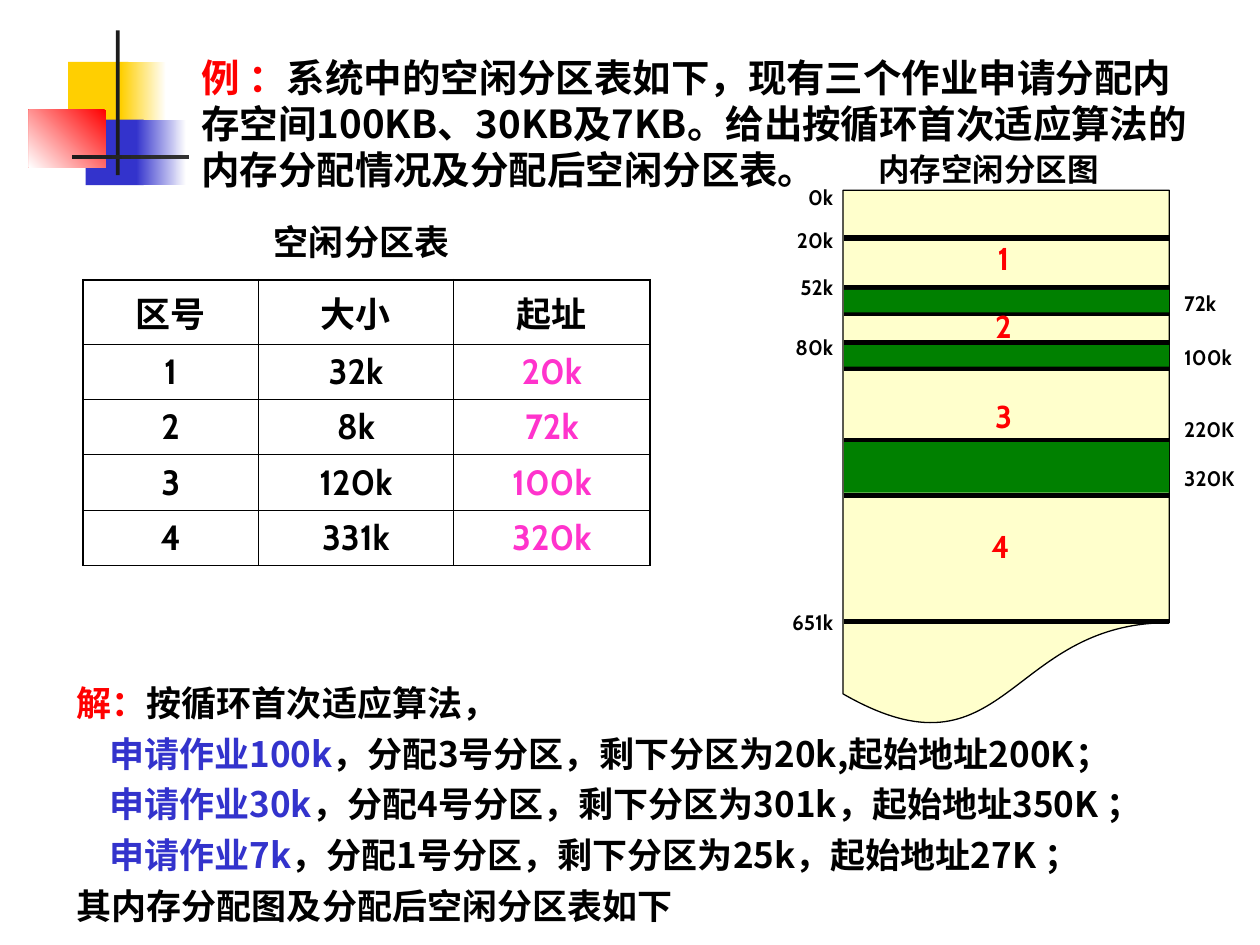
"""Builds the slide on next-fit memory allocation with its free-partition table and memory map."""
from lxml import etree
from pptx import Presentation
from pptx.dml.color import RGBColor
from pptx.enum.shapes import MSO_CONNECTOR as CONNECTOR, MSO_SHAPE as SHAPE
from pptx.enum.text import MSO_ANCHOR as ANCHOR, PP_ALIGN as ALIGN
from pptx.oxml.ns import qn
from pptx.util import Inches, Pt

BLACK = RGBColor(0x00, 0x00, 0x00)
WHITE = RGBColor(0xFF, 0xFF, 0xFF)
RED = RGBColor(0xFF, 0x00, 0x00)
BLUE = RGBColor(0x33, 0x33, 0xCC)
GOLD = RGBColor(0xFF, 0xCF, 0x01)
CHARCOAL = RGBColor(0x1C, 0x1C, 0x1C)
PINK = RGBColor(0xFF, 0x33, 0xCC)
CREAM = RGBColor(0xFF, 0xFF, 0xCC)
GREEN = RGBColor(0x00, 0x80, 0x00)
CJK = "Noto Sans CJK SC"


def add_run(paragraph, text, size, color, font="Cabin"):
    run = paragraph.add_run()
    run.text = text
    run.font.size = Pt(size)
    run.font.bold = True
    run.font.name = font
    run.font.color.rgb = color
    east_asian = etree.SubElement(run._r.get_or_add_rPr(), qn("a:ea"))
    east_asian.set("typeface", CJK)


def add_block(shapes, preset, box, color):
    block = shapes.add_shape(preset, *[Inches(v) for v in box])
    block.shadow.inherit = False
    block.fill.solid()
    block.fill.fore_color.rgb = color
    block.line.fill.background()
    return block


prs = Presentation()
prs.slide_width, prs.slide_height = Inches(10), Inches(7.5)
slide = prs.slides.add_slide(prs.slide_layouts[6])

for box, start, end, angle in [
    ((0.54, 0.49, 0.48, 0.52), GOLD, None, 0),
    ((0.96, 0.49, 0.36, 0.52), WHITE, GOLD, 180),
    ((0.68, 0.95, 0.46, 0.52), BLUE, None, 0),
    ((1.08, 0.95, 0.4, 0.52), WHITE, BLUE, 180),
    ((0.23, 0.87, 0.61, 0.46), RED, WHITE, 225),
    ((0.92, 0.24, 0.03, 1.15), CHARCOAL, None, 0),
    ((0.57, 1.23, 9, 0.03), WHITE, CHARCOAL, 180),
]:
    ornament = add_block(slide.shapes, SHAPE.RECTANGLE, box, start)
    if end is not None:
        ornament.fill.gradient()
        ornament.fill.gradient_angle = angle
        for stop, color in zip(ornament.fill.gradient_stops, (start, end)):
            stop.color.rgb = color

rows = [
    ("区号", "大小", "起址"),
    ("1", "32k", "20k"),
    ("2", "8k", "72k"),
    ("3", "120k", "100k"),
    ("4", "331k", "320k"),
]
partitions = slide.shapes.add_table(
    5, 3, Inches(0.66), Inches(2.22), Inches(4.5), Inches(2.27)).table
partitions.first_row = partitions.horz_banding = False
for column, width in zip(partitions.columns, (1.39, 1.55, 1.56)):
    column.width = Inches(width)
for r, row in enumerate(rows):
    partitions.rows[r].height = Inches(0.51 if r == 0 else 0.44)
    for c, value in enumerate(row):
        cell = partitions.cell(r, c)
        cell.margin_top = cell.margin_bottom = Inches(0.02)
        cell.vertical_anchor = ANCHOR.MIDDLE
        paragraph = cell.text_frame.paragraphs[0]
        paragraph.alignment = ALIGN.CENTER
        add_run(paragraph, value, 20, PINK if r and c == 2 else BLACK)
        cell_props = cell._tc.get_or_add_tcPr()
        for side, outer in (("L", c == 0), ("R", c == 2), ("T", r == 0), ("B", r == 4)):
            border = etree.SubElement(cell_props, qn("a:ln" + side))
            border.set("w", str(Pt(1.08 if outer else 0.45)))
            fill = etree.SubElement(border, qn("a:solidFill"))
            etree.SubElement(fill, qn("a:srgbClr")).set("val", str(BLACK))
        cell.fill.background()

table_title = slide.shapes.add_textbox(
    Inches(1.33), Inches(1.7), Inches(3.08), Inches(0.44)).text_frame
table_title.word_wrap = True
table_title.vertical_anchor = ANCHOR.MIDDLE
table_title.paragraphs[0].alignment = ALIGN.CENTER
add_run(table_title.paragraphs[0], "空闲分区表", 20, BLACK)

solution = slide.shapes.add_textbox(
    Inches(0.51), Inches(5.29), Inches(9.49), Inches(2.1)).text_frame
solution.word_wrap = True
for i, (lead, lead_color, rest, indent) in enumerate([
    ("解：", RED, "按循环首次适应算法，", 0),
    ("申请作业100k", BLUE, "，分配3号分区，剩下分区为20k,起始地址200K；", 0.26),
    ("申请作业30k", BLUE, "，分配4号分区，剩下分区为301k，起始地址350K ；", 0.26),
    ("申请作业7k", BLUE, "，分配1号分区，剩下分区为25k，起始地址27K ；", 0.26),
    ("其内存分配图及分配后空闲分区表如下", BLACK, "", 0),
]):
    paragraph = solution.add_paragraph() if i else solution.paragraphs[0]
    paragraph.line_spacing = Pt(29)
    paragraph._p.get_or_add_pPr().set("marL", str(Inches(indent)))
    add_run(paragraph, lead, 20, lead_color, CJK)
    if rest:
        add_run(paragraph, rest, 20, BLACK, CJK)

question = add_block(slide.shapes, SHAPE.RECTANGLE, (1.5, 0.38, 8.08, 1.17), WHITE).text_frame
question.word_wrap = True
question.vertical_anchor = ANCHOR.TOP
paragraph = question.paragraphs[0]
paragraph.alignment = ALIGN.LEFT
paragraph.line_spacing = Pt(26.3)
add_run(paragraph, "例 ：", 22, RED, CJK)
add_run(paragraph, "系统中的空闲分区表如下，现有三个作业申请分配内存空间100KB、30KB及7KB。"
        "给出按循环首次适应算法的内存分配情况及分配后空闲分区表。", 22, BLACK, CJK)

memory_map = slide.shapes.add_group_shape().shapes
memory = add_block(memory_map, SHAPE.FLOWCHART_DOCUMENT, (6.69, 1.51, 2.59, 4.28), CREAM)
memory.line.color.rgb = BLACK
memory.line.width = Pt(0.75)

for y in (1.89, 2.28, 2.49, 2.72, 2.92, 3.5, 3.93, 4.93):
    boundary = memory_map.add_connector(
        CONNECTOR.STRAIGHT, Inches(6.7), Inches(y), Inches(9.28), Inches(y))
    boundary.line.color.rgb = BLACK
    boundary.line.width = Pt(3)
    etree.SubElement(boundary._element.spPr, qn("a:effectLst"))

for top, height in ((2.3, 0.18), (2.74, 0.17), (3.51, 0.4)):
    add_block(memory_map, SHAPE.RECTANGLE, (6.7, top, 2.58, height), GREEN)

map_title = memory_map.add_textbox(
    Inches(6.87), Inches(1.14), Inches(2.22), Inches(0.4)).text_frame
map_title.word_wrap = True
map_title.vertical_anchor = ANCHOR.MIDDLE
add_run(map_title.paragraphs[0], "内存空闲分区图", 18, BLACK, "Times New Roman")

LABEL_PITCH = 15
for left, width, align, labels in [
    (5.63, 1.08, ALIGN.RIGHT,
     [("0k", 1.56), ("20k", 1.9), ("52k", 2.27), ("80k", 2.75), ("651k", 4.93)]),
    (9.3, 0.79, ALIGN.LEFT,
     [("72k", 2.4), ("100k", 2.83), ("220K", 3.4), ("320K", 3.79)]),
]:
    first, last = labels[0][1], labels[-1][1]
    addresses = memory_map.add_textbox(
        Inches(left), Inches(first - 0.15), Inches(width), Inches(last - first + 0.3)).text_frame
    addresses.word_wrap = True
    previous = first
    for i, (label, y) in enumerate(labels):
        paragraph = addresses.add_paragraph() if i else addresses.paragraphs[0]
        paragraph.alignment = align
        paragraph.line_spacing = Pt(LABEL_PITCH)
        if i:
            paragraph.space_before = Pt(round((y - previous) * 72 - LABEL_PITCH, 1))
        add_run(paragraph, label, 12, BLACK)
        previous = y

for number, left, top in (("1", 7.82, 1.85), ("2", 7.8, 2.39), ("3", 7.8, 3.1), ("4", 7.77, 4.13)):
    marker = memory_map.add_textbox(
        Inches(left), Inches(top), Inches(0.34), Inches(0.4)).text_frame
    marker.word_wrap = False
    add_run(marker.paragraphs[0], number, 18, RED)

prs.save("out.pptx")
